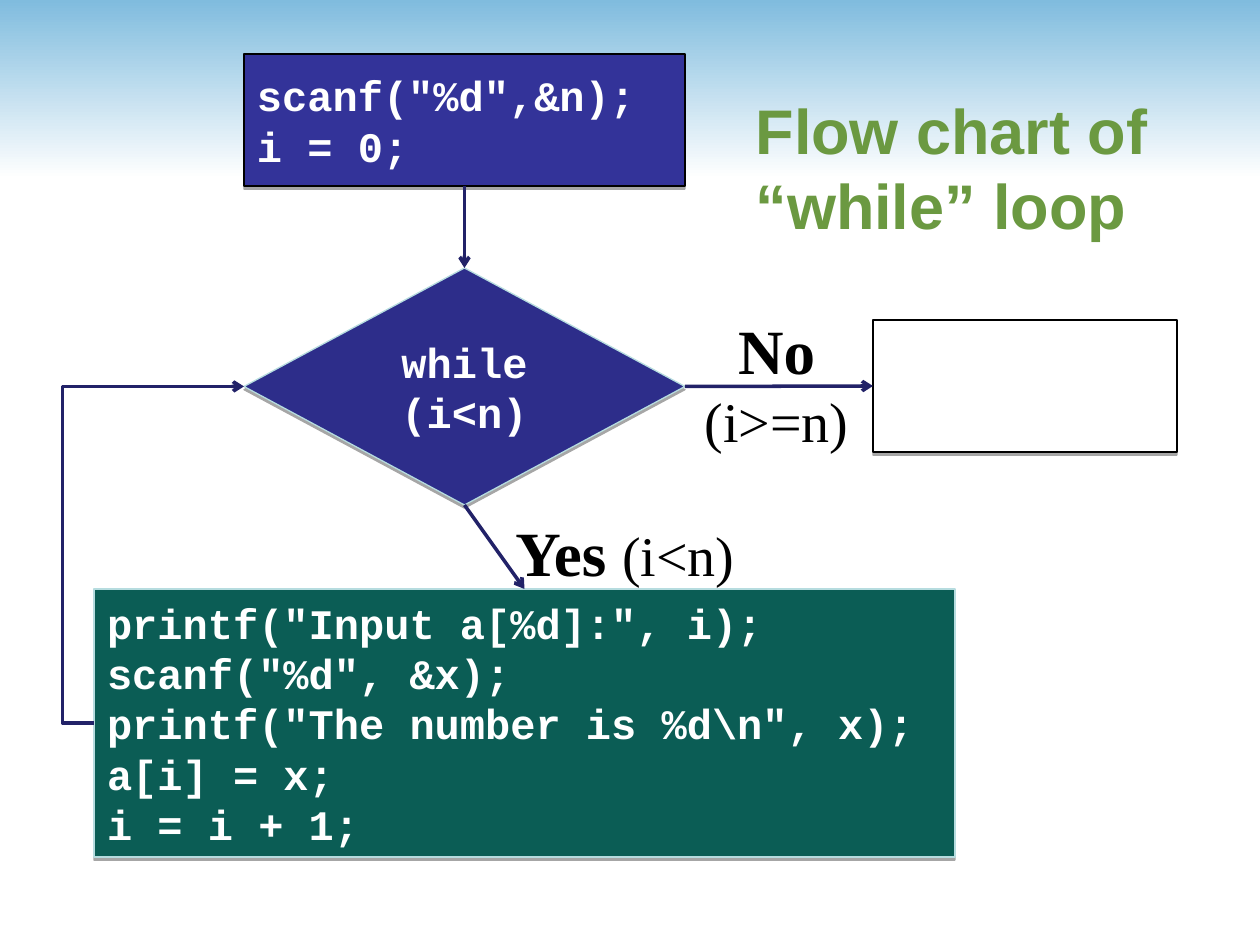
import lxml.etree
import pptx
import pptx.dml.color
import pptx.enum.shapes
import pptx.enum.text
import pptx.oxml.ns
import pptx.util

PX = 914400 / 126
NAVY = "222268"
PALE = "B6DCDF"
WHITE = "FFFFFF"
BLACK = "000000"
SHAPE = pptx.enum.shapes.MSO_SHAPE
CONNECTOR = pptx.enum.shapes.MSO_CONNECTOR
ALIGN = pptx.enum.text.PP_ALIGN
ANCHOR = pptx.enum.text.MSO_ANCHOR
AUTO_SIZE = pptx.enum.text.MSO_AUTO_SIZE
TOP, LEFT, BOTTOM, RIGHT = range(4)


def emu(*lengths):
    return [pptx.util.Emu(round(length * PX)) for length in lengths]


def rgb(colour):
    return pptx.dml.color.RGBColor.from_string(colour)


def add_child(parent, tag, **attributes):
    child = lxml.etree.SubElement(parent, pptx.oxml.ns.qn(tag))
    for name, value in attributes.items():
        child.set(name, str(value))
    return child


def write(frame, paragraphs, font, size=24, bold=True, colour=WHITE, align=ALIGN.LEFT,
          anchor=ANCHOR.MIDDLE, wrap=True, auto_size=AUTO_SIZE.NONE):
    frame.word_wrap = wrap
    frame.auto_size = auto_size
    frame.vertical_anchor = anchor
    for index, runs in enumerate(paragraphs):
        paragraph = frame.add_paragraph() if index else frame.paragraphs[0]
        paragraph.alignment = align
        for text, run_size, run_bold in [(runs, size, bold)] if isinstance(runs, str) else runs:
            run = paragraph.add_run()
            run.text = text
            run.font.name = font
            run.font.size = pptx.util.Pt(run_size)
            run.font.bold = run_bold
            run.font.color.rgb = rgb(colour)


def add_band(slide):
    band = slide.shapes.add_shape(SHAPE.RECTANGLE, *emu(0, 0, 1260, 179))
    band.shadow.inherit = False
    band.line.fill.background()
    band.fill.gradient()
    band.fill.gradient_angle = 270
    for stop, colour in zip(band.fill.gradient_stops, ("80BCDE", WHITE)):
        stop.color.rgb = rgb(colour)
    slide.shapes._spTree.insert(2, band._element)


def add_title(slide, text):
    title = slide.shapes.title
    title.left, title.top, title.width, title.height = emu(743, 38, 454, 258)
    write(title.text_frame, [text], "Arial", size=36, colour="6B9941")


def add_step(slide, box, fill, line, code=(), kind=SHAPE.RECTANGLE, align=ALIGN.LEFT, inset=13):
    step = slide.shapes.add_shape(kind, *emu(*box))
    step.fill.solid()
    step.fill.fore_color.rgb = rgb(fill)
    step.line.color.rgb = rgb(line)
    step.line.width = pptx.util.Pt(0.75)
    step.shadow.inherit = False
    effects = step._element.spPr.find(pptx.oxml.ns.qn("a:effectLst"))
    shadow = add_child(effects, "a:outerShdw", blurRad=0, dist=22860, dir=5400000, rotWithShape=0)
    add_child(add_child(shadow, "a:srgbClr", val=BLACK), "a:alpha", val=35000)
    frame = step.text_frame
    frame.margin_left, frame.margin_right = emu(inset, inset)
    write(frame, code, "Courier New", align=align)
    return step


def add_arrow(slide, source, source_site, target, target_site, kind=CONNECTOR.STRAIGHT, bend=None):
    arrow = slide.shapes.add_connector(kind, 0, 0, 0, 0)
    arrow.begin_connect(source, source_site)
    arrow.end_connect(target, target_site)
    arrow.line.color.rgb = rgb(NAVY)
    arrow.line.width = pptx.util.Pt(2)
    add_child(arrow.line._get_or_add_ln(), "a:tailEnd", type="arrow")
    properties = arrow._element.spPr
    add_child(properties, "a:effectLst")
    if bend is not None:
        guides = properties.find(".//" + pptx.oxml.ns.qn("a:avLst"))
        if guides is None:
            guides = add_child(properties.find(pptx.oxml.ns.qn("a:prstGeom")), "a:avLst")
        add_child(guides, "a:gd", name="adj1", fmla=f"val {round(bend * 100000)}")


def add_label(slide, box, paragraphs, align=ALIGN.LEFT):
    label = slide.shapes.add_textbox(*emu(*box))
    write(label.text_frame, paragraphs, "Times New Roman", colour=BLACK, align=align,
          anchor=ANCHOR.TOP, wrap=False, auto_size=AUTO_SIZE.SHAPE_TO_FIT_TEXT)


def main():
    deck = pptx.Presentation()
    deck.slide_width, deck.slide_height = emu(1260, 945)
    slide = deck.slides.add_slide(deck.slide_layouts[5])
    add_band(slide)
    add_title(slide, "Flow chart of “while” loop")

    setup = add_step(slide, (244, 54, 441, 132), "333399", BLACK,
                     ['scanf("%d",&n);', "i = 0;"])
    condition = add_step(slide, (244, 268, 441, 237), "2D2D8A", PALE, ["while (i<n)"],
                         kind=SHAPE.DIAMOND, align=ALIGN.CENTER, inset=0)
    body = add_step(slide, (94, 589, 861, 268), "0B5D55", PALE,
                    ['printf("Input a[%d]:", i);', 'scanf("%d", &x);',
                     'printf("The number is %d\\n", x);', "a[i] = x;", "i = i + 1;"])
    after = add_step(slide, (873, 320, 304, 132), WHITE, BLACK)

    add_arrow(slide, setup, BOTTOM, condition, TOP)
    add_arrow(slide, condition, BOTTOM, body, TOP)
    add_arrow(slide, body, LEFT, condition, LEFT, kind=CONNECTOR.ELBOW, bend=-0.21)
    add_arrow(slide, condition, RIGHT, after, LEFT)

    add_label(slide, (503, 507, 251, 88), [[("Yes ", 36, True), ("(i<n)", 32, False)]])
    add_label(slide, (692, 305, 169, 156), [[("No", 36, True)], [("(i>=n)", 32, False)]],
              align=ALIGN.CENTER)
    deck.save("out.pptx")


if __name__ == "__main__":
    main()
